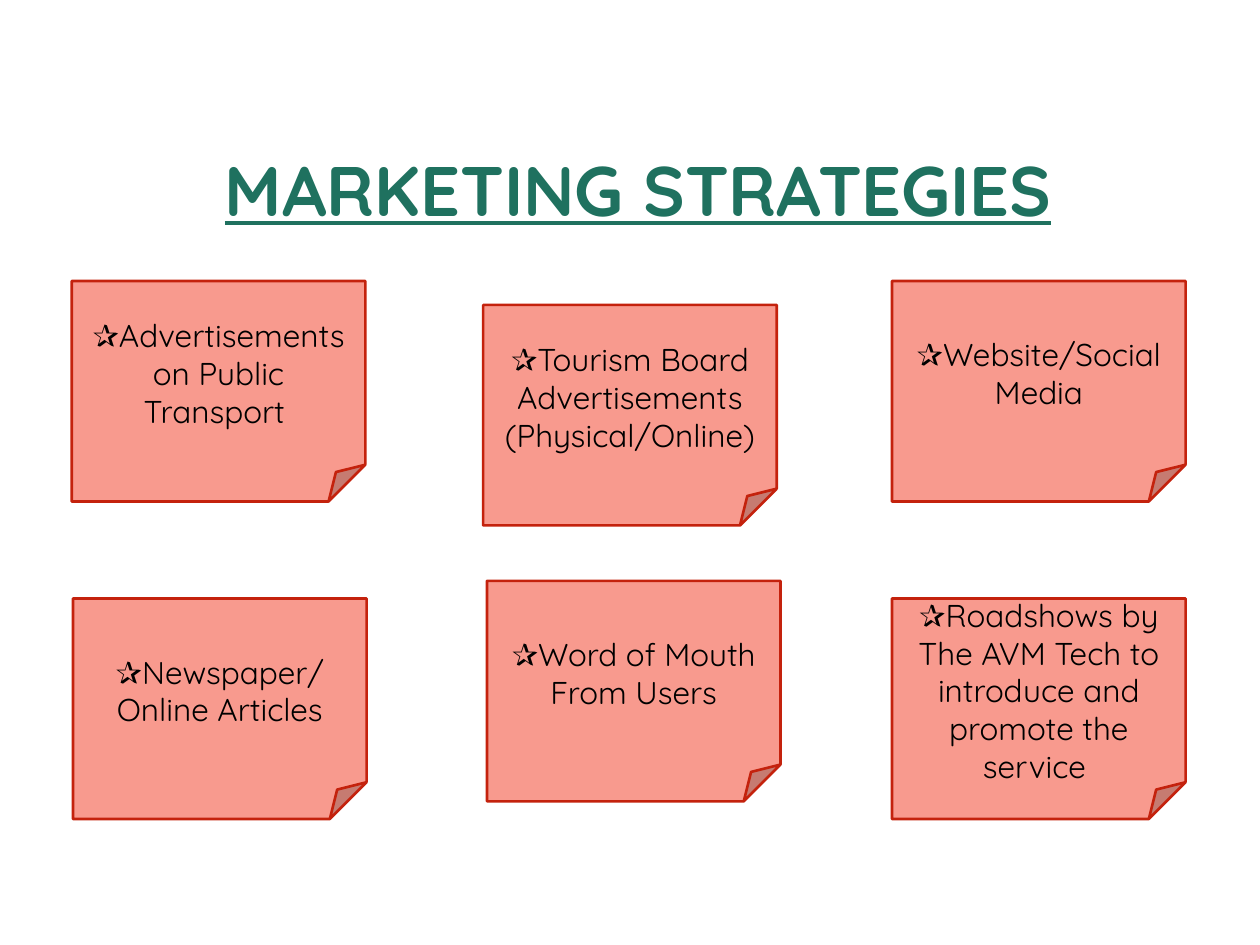
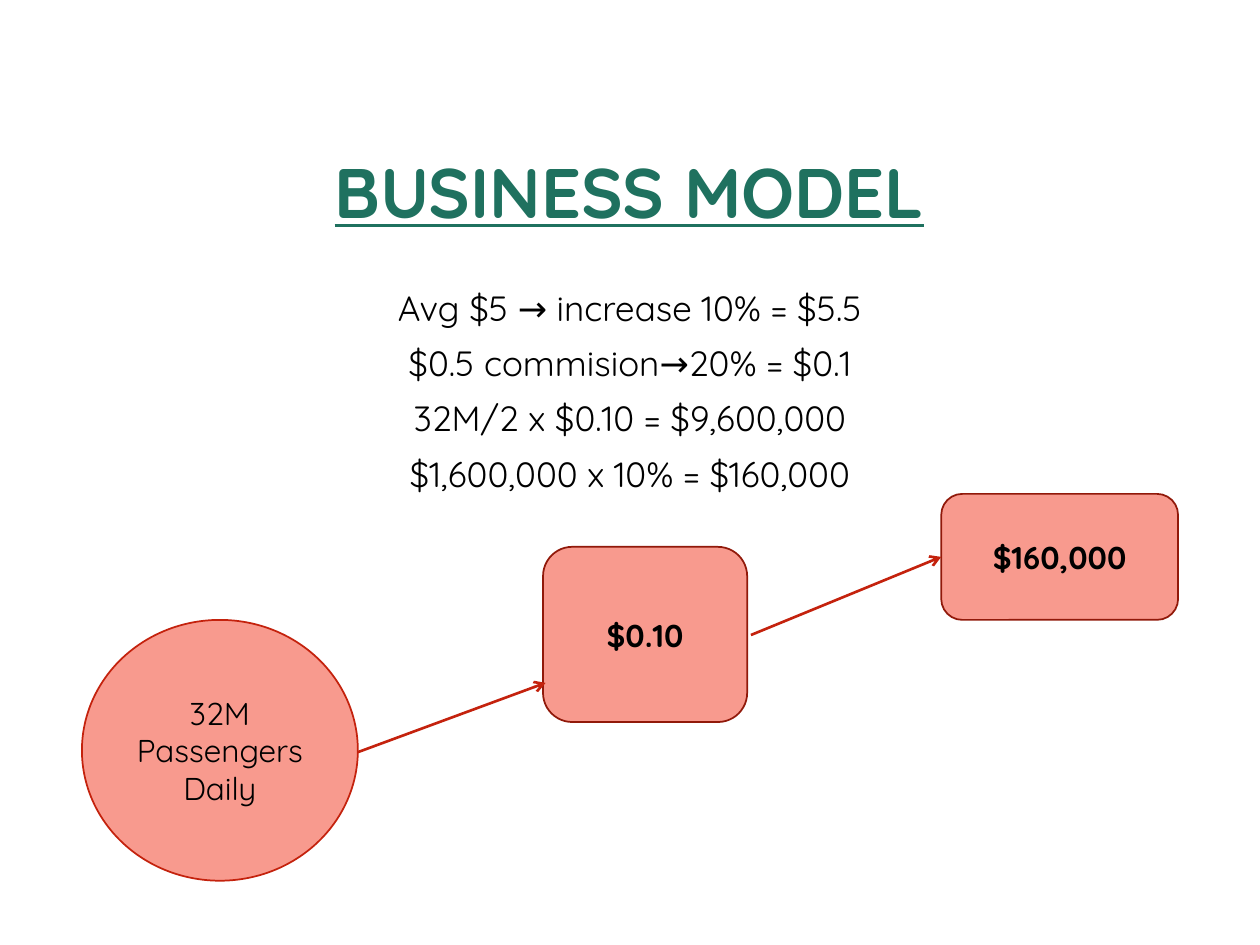
import pptx
import pptx.dml.color
import pptx.enum.shapes
import pptx.enum.text
import pptx.oxml
import pptx.oxml.ns
import pptx.util

RGBColor = pptx.dml.color.RGBColor
Shape = pptx.enum.shapes.MSO_SHAPE
Anchor = pptx.enum.text.MSO_ANCHOR

GREEN = RGBColor(0x1F, 0x71, 0x5F)
SALMON = RGBColor(0xF8, 0x9A, 0x8E)
RED = RGBColor(0xC4, 0x22, 0x0D)
DARK_RED = RGBColor(0x91, 0x19, 0x0A)
BLACK = RGBColor(0, 0, 0)
FONT, STAR_FONT, STAR = "Quicksand", "Noto Sans CJK JP", "✰"

# The slide is a grid of 100 columns by 75 rows of square cells
COLUMNS, ROWS = 100, 75
CELL = pptx.util.Inches(0.1)

# Note text, with its nudge away from the regular grid
NOTES = [
    [("✰Advertisements on Public Transport ", 0, 0),
     ("✰Tourism Board Advertisements (Physical/Online)", 0.1, 1.9),
     ("✰Website/Social Media", 0, 0)],
    [("✰Newspaper/\nOnline Articles", 0.1, 0),
     ("✰Word of Mouth From Users", 0.4, -1.4),
     ("✰Roadshows by The AVM Tech to introduce and promote the service ", 0, 0)],
]
SUMS = """Avg $5 → increase 10% = $5.5
$0.5 commision→20% = $0.1
32M/2 x $0.10 = $9,600,000
$1,600,000 x 10% = $160,000"""


def cells(*lengths):
    return [round(length * CELL) for length in lengths]


def write(frame, text, size=18, color=BLACK, bold=False, underline=False,
          anchor=Anchor.MIDDLE, line_spacing=None, space_before=0):
    """Fill a text frame, one paragraph a line; a star gets its own font."""
    frame.word_wrap = True
    frame.vertical_anchor = anchor
    for index, line in enumerate(text.split("\n")):
        para = frame.paragraphs[0] if index == 0 else frame.add_paragraph()
        para.alignment = pptx.enum.text.PP_ALIGN.CENTER
        para.line_spacing = line_spacing
        para.space_before = pptx.util.Pt(space_before)
        star, rest = (STAR, line[1:]) if line.startswith(STAR) else ("", line)
        for part, font in ((star, STAR_FONT), (rest, FONT)):
            if not part:
                continue
            span = para.add_run()
            span.text = part
            span.font.size = pptx.util.Pt(size)
            span.font.bold = bold
            span.font.underline = underline
            span.font.color.rgb = color
            span.font.name = font
            if part == STAR:
                east_asian = pptx.oxml.parse_xml(
                    f'<a:ea {pptx.oxml.ns.nsdecls("a")} typeface="{font}"/>')
                span.font._element.append(east_asian)


def add_text(page, box, text, **text_format):
    write(page.shapes.add_textbox(*cells(*box)).text_frame, text, **text_format)


def add_title(page, box, text):
    add_text(page, box, text, size=40, color=GREEN, bold=True,
             underline=True, line_spacing=0.9)


def add_panel(page, kind, box, text, line=RED, width=1, **text_format):
    panel = page.shapes.add_shape(kind, *cells(*box))
    panel.shadow.inherit = False
    panel.fill.solid()
    panel.fill.fore_color.rgb = SALMON
    panel.line.color.rgb = line
    panel.line.width = pptx.util.Pt(width)
    write(panel.text_frame, text, **text_format)


def add_arrow(page, start, end):
    arrow = page.shapes.add_connector(
        pptx.enum.shapes.MSO_CONNECTOR.STRAIGHT, *cells(*start, *end))
    arrow.line.color.rgb = RED
    arrow.line.width = pptx.util.Pt(1.5)
    names = pptx.oxml.ns.nsdecls("a")
    arrow.line._get_or_add_ln().append(
        pptx.oxml.parse_xml(f'<a:tailEnd {names} type="arrow"/>'))
    arrow._element.spPr.append(pptx.oxml.parse_xml(f"<a:effectLst {names}/>"))


def add_notes(page, box):
    """Spread the notes over the box, flush with its edges."""
    left, top, width, height = box
    note_width, note_height = 23.3, 17.5
    column_step = (width - note_width) / (len(NOTES[0]) - 1)
    row_step = (height - note_height) / (len(NOTES) - 1)
    for row, notes in enumerate(NOTES):
        for column, (text, right, down) in enumerate(notes):
            note_box = (left + column * column_step + right,
                        top + row * row_step + down, note_width, note_height)
            add_panel(page, Shape.FOLDED_CORNER, note_box, text, width=1.5)


def add_income_flow(page, box):
    """Rise from passengers, by the fee, to the income in the top corner."""
    left, top, width, height = box

    def at(column, row):
        return left + column, top + row

    # Steps
    add_panel(page, Shape.OVAL, (*at(0, height - 20.7), 21.9, 20.7),
              "32M Passengers Daily")
    add_panel(page, Shape.ROUNDED_RECTANGLE, (*at(36.6, 4.2), 16.2, 13.9),
              "$0.10", line=DARK_RED, bold=True)
    add_panel(page, Shape.ROUNDED_RECTANGLE, (*at(width - 18.8, 0), 18.8, 10),
              "$160,000", line=DARK_RED, bold=True)
    # Arrows between them
    add_arrow(page, at(21.9, 20.5), at(36.8, 15))
    add_arrow(page, at(53.1, 11.2), at(width - 18.8, 5))


def build_marketing(page):
    add_title(page, (15.8, 8.3, 69.7, 14.1), "MARKETING STRATEGIES")
    add_notes(page, (5.7, 22.3, 88.4, 42.7))


def build_business(page):
    add_title(page, (15.1, 8.5, 69.7, 14.1), "BUSINESS MODEL")
    add_text(page, (6.5, 22.6, 87, 44.5), SUMS, size=20, anchor=Anchor.TOP,
             line_spacing=0.9, space_before=10)
    add_income_flow(page, (6.5, 39.2, 87, 30.7))


def main():
    deck = pptx.Presentation()
    deck.slide_width, deck.slide_height = cells(COLUMNS, ROWS)
    for build in (build_marketing, build_business):
        build(deck.slides.add_slide(deck.slide_layouts[6]))
    deck.save("out.pptx")


if __name__ == "__main__":
    main()
